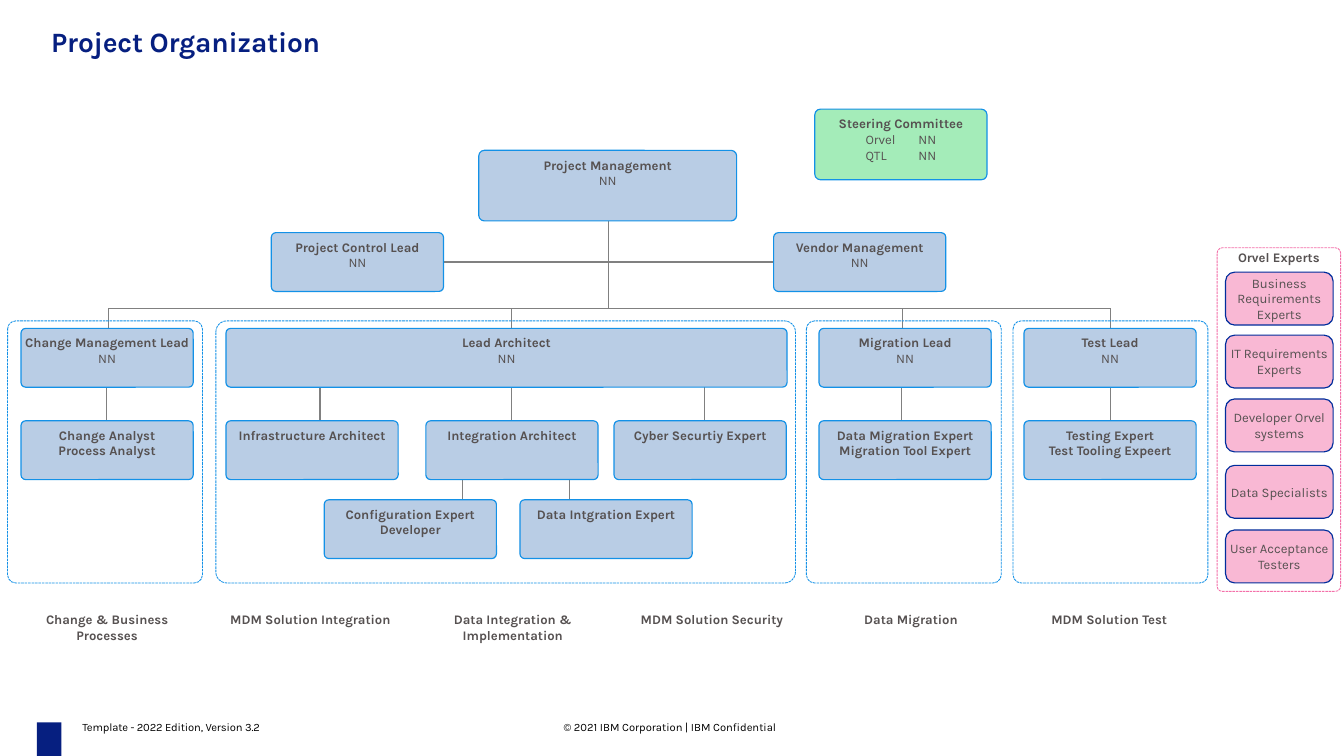
import pptx
import pptx.util
import pptx.dml.color
import pptx.enum.dml
import pptx.enum.shapes
import pptx.enum.text
import lxml.etree
from pptx.util import Inches

RGBColor = pptx.dml.color.RGBColor
NAVY = RGBColor(0x06, 0x1F, 0x80)
BLACK = RGBColor(0x00, 0x00, 0x00)
WHITE = RGBColor(0xFF, 0xFF, 0xFF)
TEXT_GRAY = RGBColor(0x56, 0x51, 0x51)
LINE_GRAY = RGBColor(0x80, 0x80, 0x80)
BOX_BLUE = RGBColor(0xB9, 0xCD, 0xE5)
EDGE_BLUE = RGBColor(0x13, 0x91, 0xE7)
GREEN = RGBColor(0xA4, 0xEC, 0xB9)
PINK = RGBColor(0xF9, 0xB8, 0xD4)
EDGE_PINK = RGBColor(0xF4, 0x70, 0xA9)
EDGE_NAVY = RGBColor(0x00, 0x2D, 0x9C)
FONT = "Karla"
ANCHOR = pptx.enum.text.MSO_ANCHOR
DRAWING = "http://schemas.openxmlformats.org/drawingml/2006/main"

presentation = pptx.Presentation()
presentation.slide_width = Inches(16)
presentation.slide_height = Inches(9)
slide = presentation.slides.add_slide(presentation.slide_layouts[6])


def add_box(left, top, width, height, fill, edge, text="", bold_lines=1,
            radius=0.079, inset=0.06, anchor=ANCHOR.TOP, dashed=False):
    """Rounded box; the first bold_lines paragraphs are bold."""
    shape = slide.shapes.add_shape(
        pptx.enum.shapes.MSO_SHAPE.ROUNDED_RECTANGLE,
        Inches(left), Inches(top), Inches(width), Inches(height))
    shape.adjustments[0] = radius
    shape.shadow.inherit = False
    if fill is None:
        shape.fill.background()
    else:
        shape.fill.solid()
        shape.fill.fore_color.rgb = fill
    if edge is None:
        shape.line.fill.background()
    else:
        shape.line.color.rgb = edge
        shape.line.width = pptx.util.Pt(0.75 if dashed else 1)
    if dashed:
        shape.line.dash_style = pptx.enum.dml.MSO_LINE.SQUARE_DOT
    frame = shape.text_frame
    frame.word_wrap = True
    frame.vertical_anchor = anchor
    frame.margin_left = frame.margin_right = 0
    frame.margin_top = frame.margin_bottom = Inches(inset)
    frame.text = text
    for index, paragraph in enumerate(frame.paragraphs):
        paragraph.alignment = pptx.enum.text.PP_ALIGN.CENTER
        for run in paragraph.runs:
            run.font.name = FONT
            run.font.size = pptx.util.Pt(11.2)
            run.font.bold = index < bold_lines
            run.font.color.rgb = TEXT_GRAY
    return shape


def add_line(x1, y1, x2, y2):
    connector = slide.shapes.add_connector(
        pptx.enum.shapes.MSO_CONNECTOR.STRAIGHT,
        Inches(x1), Inches(y1), Inches(x2), Inches(y2))
    connector.line.color.rgb = LINE_GRAY
    connector.line.width = pptx.util.Pt(1)
    lxml.etree.SubElement(connector._element.spPr, f"{{{DRAWING}}}effectLst")


# Title and footer
marker = slide.shapes.add_shape(
    pptx.enum.shapes.MSO_SHAPE.RECTANGLE,
    Inches(0.44), Inches(8.6), Inches(0.29), Inches(0.4))
marker.shadow.inherit = False
marker.fill.solid()
marker.fill.fore_color.rgb = NAVY
marker.line.fill.background()
for left, top, width, height, text, size, color, spacing in (
    (0.61, 0.29, 14.82, 0.4, "Project Organization", 24, NAVY, -20),
    (6.71, 8.58, 2.7, 0.16, "© 2021 IBM Corporation | IBM Confidential", 9.6, BLACK, 0),
    (0.98, 8.58, 2.4, 0.16, "Template - 2022 Edition, Version 3.2", 9.6, BLACK, -10),
):
    frame = slide.shapes.add_textbox(
        Inches(left), Inches(top), Inches(width), Inches(height)).text_frame
    frame.word_wrap = True
    frame.margin_left = frame.margin_right = 0
    frame.margin_top = frame.margin_bottom = 0
    frame.text = text
    run = frame.paragraphs[0].runs[0]
    run.font.name = FONT
    run.font.size = pptx.util.Pt(size)
    run.font.bold = size == 24
    run.font.color.rgb = color
    run._r.get_or_add_rPr().set("spc", str(spacing))

# Reporting lines
BUS_Y, LEAD_Y, TEAM_Y, SUBTEAM_Y = 3.67, 3.91, 5.01, 5.95
BOX_W, BOX_H = 2.05, 0.7
add_line(7.24, 2.62, 7.24, BUS_Y)
add_line(5.29, 3.12, 9.21, 3.12)
add_line(1.29, BUS_Y, 13.22, BUS_Y)
for x in (1.29, 6.09, 10.74, 13.22):
    add_line(x, BUS_Y, x, LEAD_Y)
for x in (1.27, 3.81, 6.09, 8.39, 10.73, 13.22):
    add_line(x, LEAD_Y + BOX_H, x, TEAM_Y)
for x in (5.51, 6.78):
    add_line(x, TEAM_Y + BOX_H, x, SUBTEAM_Y)

# Workstream frames
for left, width in ((0.09, 2.32), (2.57, 6.9), (9.6, 2.32), (12.06, 2.32)):
    add_box(left, 3.82, width, 3.12, None, EDGE_BLUE, radius=0.042, dashed=True)

# Management and workstream leads
for left, top, width, height, role in (
    (5.7, 1.79, 3.07, 0.84, "Project Management"),
    (3.23, 2.77, BOX_W, BOX_H, "Project Control Lead"),
    (9.21, 2.77, BOX_W, BOX_H, "Vendor Management"),
    (0.25, LEAD_Y, BOX_W, BOX_H, "Change Management Lead"),
    (2.69, LEAD_Y, 6.68, BOX_H, "Lead Architect"),
    (9.75, LEAD_Y, BOX_W, BOX_H, "Migration Lead"),
    (12.19, LEAD_Y, BOX_W, BOX_H, "Test Lead"),
):
    add_box(left, top, width, height, BOX_BLUE, EDGE_BLUE, role + "\nNN")

# Steering committee, names and members aligned by a tab stop
committee = add_box(9.7, 1.3, BOX_W, 0.84, GREEN, EDGE_BLUE,
                    "Steering Committee\nOrvel\tNN\nQTL\tNN")
for paragraph in committee.text_frame.paragraphs[1:]:
    tabs = lxml.etree.SubElement(paragraph._p.get_or_add_pPr(), f"{{{DRAWING}}}tabLst")
    lxml.etree.SubElement(tabs, f"{{{DRAWING}}}tab", pos=str(Inches(0.63)), algn="l")

# Team members
for left, top, roles in (
    (0.25, TEAM_Y, "Change Analyst\nProcess Analyst"),
    (2.69, TEAM_Y, "Infrastructure Architect"),
    (5.07, TEAM_Y, "Integration Architect"),
    (7.31, TEAM_Y, "Cyber Securtiy Expert"),
    (9.75, TEAM_Y, "Data Migration Expert\nMigration Tool Expert"),
    (12.19, TEAM_Y, "Testing Expert\nTest Tooling Expeert"),
    (3.86, SUBTEAM_Y, "Configuration Expert\nDeveloper"),
    (6.19, SUBTEAM_Y, "Data Intgration Expert"),
):
    add_box(left, top, BOX_W, BOX_H, BOX_BLUE, EDGE_BLUE, roles, bold_lines=2)

# Workstream names
for left, name in (
    (0.25, "Change & Business Processes"),
    (2.67, "MDM Solution Integration"),
    (5.08, "Data Integration & Implementation"),
    (7.45, "MDM Solution Security"),
    (9.82, "Data Migration"),
    (12.18, "MDM Solution Test"),
):
    add_box(left, 7.21, BOX_W, 0.38, WHITE, None, name)

# Customer experts
add_box(14.49, 2.95, 1.47, 4.09, None, EDGE_PINK, "Orvel Experts",
        radius=0.042, inset=0, dashed=True)
for top, name in (
    (3.24, "Business Requirements Experts"),
    (3.99, "IT Requirements Experts"),
    (4.75, "Developer Orvel systems"),
    (5.54, "Data Specialists"),
    (6.31, "User Acceptance Testers"),
):
    add_box(14.59, top, 1.28, 0.63, PINK, EDGE_NAVY, name, bold_lines=0,
            radius=0.17, inset=0, anchor=ANCHOR.MIDDLE)

presentation.save("out.pptx")
